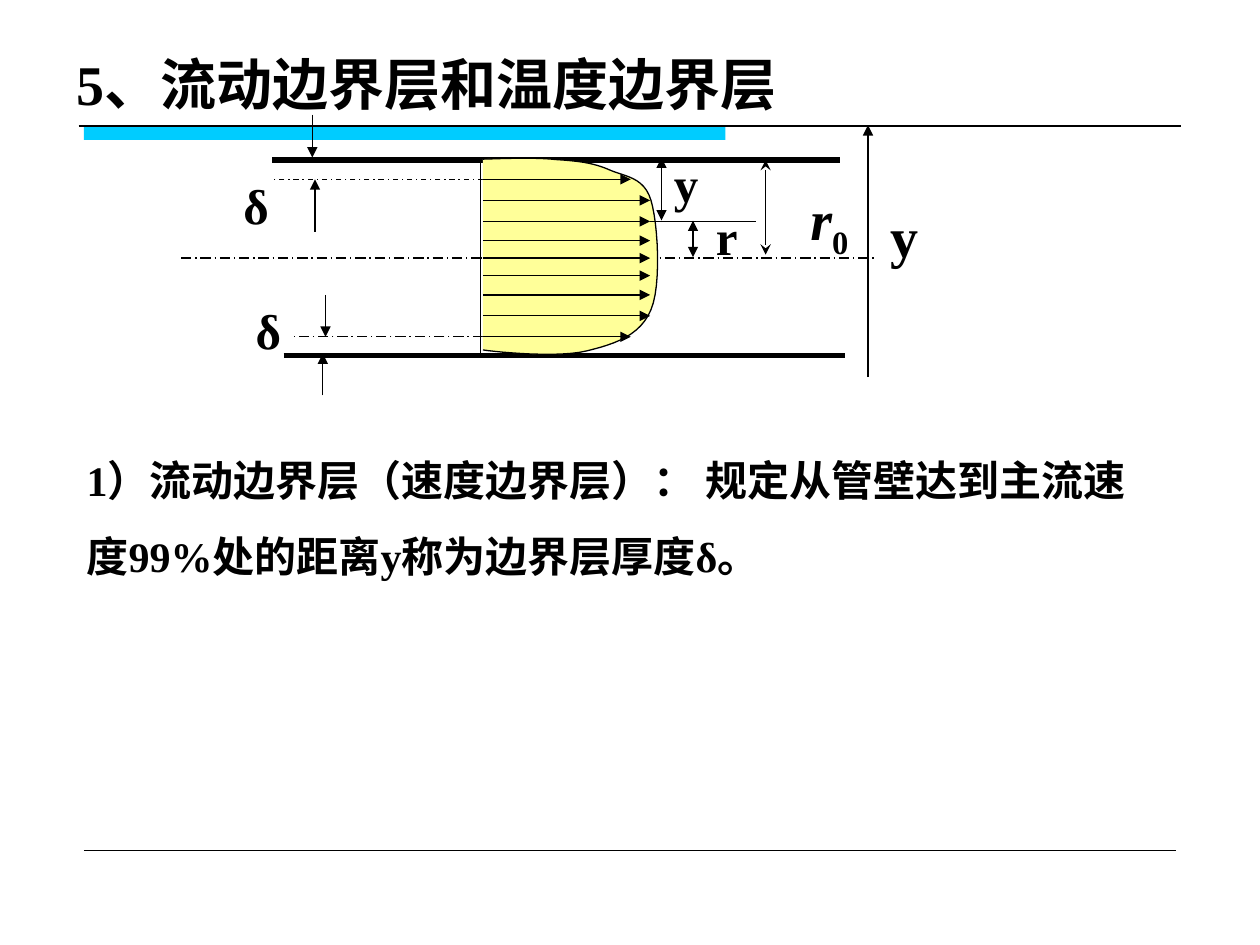
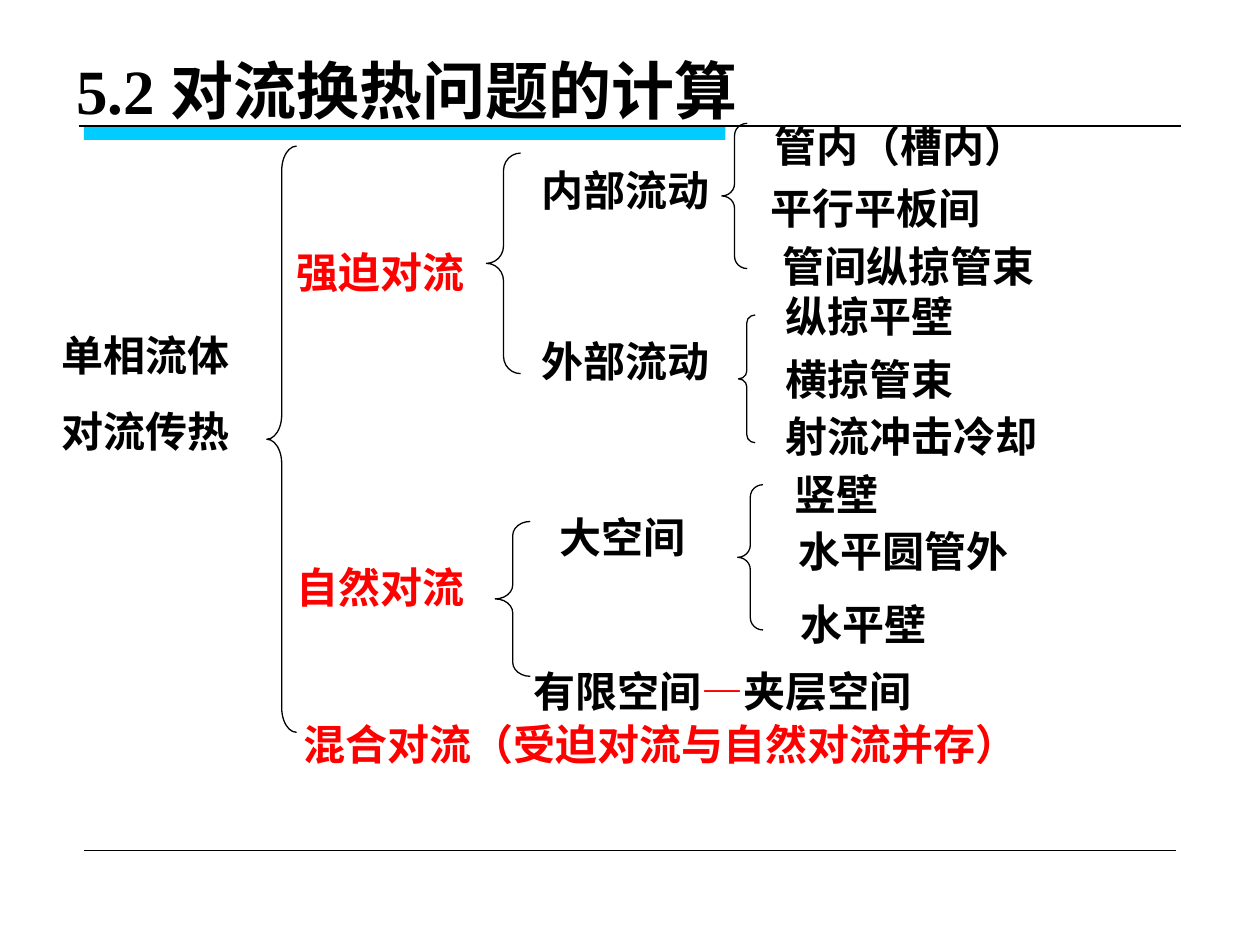
from dataclasses import dataclass
from typing import Optional

from lxml.etree import SubElement
from pptx import Presentation
from pptx.dml.color import RGBColor
from pptx.enum.dml import MSO_LINE
from pptx.enum.shapes import MSO_CONNECTOR, MSO_SHAPE
from pptx.enum.text import MSO_ANCHOR, MSO_AUTO_SIZE, PP_ALIGN
from pptx.oxml.ns import qn
from pptx.util import Pt

COLORS = {
    "ink": "000000",
    "red": "FF0000",
    "band": "00CCFF",
    "flow": "FFFF99",
}
LATIN = "Times New Roman"
TREE_FONT = "DejaVu Sans"
AXIS_Y = 147.5
INLET_X = 276
ROW_OFFSETS = (10, 21, 33, 45)
CURVE_STEPS = 12
PROFILE_START = (276, 91)
PROFILE_CURVES = [
    ((291, 90.5), (306, 90), (317.5, 91.2)),
    ((330, 92), (339, 93), (348, 97)),
    ((357, 101), (368, 101), (372, 114.5)),
    ((376, 127.5), (378, 163), (372, 177)),
    ((366, 191.5), (352, 196.5), (335.5, 200.5)),
    ((320, 204.5), (286, 201.5), (276, 200)),
]


@dataclass
class Line:
    x1: float
    y1: float
    x2: float
    y2: float
    width: float = 0.75
    dash: Optional[MSO_LINE] = None
    head: str = ""
    tail: str = ""


@dataclass
class Label:
    text: str
    left: float
    top: float
    width: float
    height: float = 36
    size: float = 24
    font: str = TREE_FONT
    color: str = "ink"
    line_spacing: Optional[float] = None
    space_before: float = 15


@dataclass
class Brace:
    left: float
    top: float
    width: float
    height: float
    radius: float


WALLS_AND_AXES = [
    Line(155.5, 91.5, 480, 91.5, width=3),
    Line(162, 203, 483, 203, width=3),
    Line(274.5, 90, 274.5, 204.5),
    Line(103.5, AXIS_Y, 500, AXIS_Y, dash=MSO_LINE.LONG_DASH_DOT),
    Line(INLET_X, 192.5, 168, 192.5, dash=MSO_LINE.LONG_DASH_DOT),
    Line(INLET_X, 102.5, 155.5, 102.5, dash=MSO_LINE.DASH_DOT),
]
DIMENSIONS = [
    Line(378, 126, 378, 90, head="triangle", tail="triangle"),
    Line(437.5, 91.5, 437.5, 145.5, head="stealth", tail="stealth"),
    Line(371.5, 126.5, 432, 126.5),
    Line(396, 147, 396, 126, head="triangle", tail="triangle"),
    Line(180, 132.5, 180, 102.5, tail="triangle"),
    Line(186, 168.5, 186, 192.5, tail="triangle"),
    Line(184.5, 226, 184.5, 202, tail="triangle"),
    Line(496, 215.5, 496, 71.5, tail="triangle"),
    Line(178.5, 65.5, 178.5, 90, tail="triangle"),
]
FLOW_LABELS = [
    Label("1）流动边界层（速度边界层）： 规定从管壁达到主流速度99%处的距离y称为边界层厚度δ。",
          42.5, 242, 623.5, 137, font=LATIN, line_spacing=1.5),
    Label("y", 378, 84, 42, 41, 28, LATIN),
    Label("r", 402, 114.5, 24, 41, 28, LATIN),
    Label("y", 502, 111.5, 36, 46, 32, LATIN),
    Label("δ", 132, 96.5, 36, 41, 28, LATIN),
    Label("δ", 139, 168, 36, 41, 28, LATIN),
]
RADIUS_LABEL = Label("r", 456, 102, 68, 51, 32, LATIN)

TREE_LABELS = [
    Label("单相流体\n对流传热", 28, 184.5, 130, 80),
    Label("强迫对流", 162.5, 137.5, 130, color="red"),
    Label("自然对流", 162.5, 317.5, 130, color="red"),
    Label("混合对流（受迫对流与自然对流并存）", 166.5, 407, 425, color="red"),
    Label("内部流动", 302.5, 90.5, 115),
    Label("外部流动", 302.5, 188, 115),
    Label("大空间", 312.5, 289, 98.5),
    Label("管内（槽内）", 435.5, 65.5, 160.5),
    Label("平行平板间", 433.5, 101, 160.5),
    Label("管间纵掠管束", 440, 134, 192),
    Label("纵掠平壁", 442, 162.5, 160.5),
    Label("横掠管束", 442, 198.5, 160.5),
    Label("射流冲击冷却", 442, 231, 166),
    Label("竖壁", 447, 264, 106),
    Label("水平圆管外", 449, 297, 154),
    Label("水平壁", 450.5, 338.5, 160.5),
]
LIMITED_SPACE = Label("有限空间", 298, 377, 296)
BRACES = [
    Brace(152.5, 83.5, 17, 335, 14),
    Brace(278, 87.5, 19.5, 126, 10),
    Brace(412.5, 70.5, 14.5, 83, 7),
    Brace(421.5, 277, 14.5, 83, 7),
    Brace(283, 298, 20, 88.5, 8),
    Brace(422, 180, 9.5, 73, 4.5),
]


def rgb(name: str) -> RGBColor:
    return RGBColor.from_string(COLORS[name])


def style_run(run, size: float, font: str, color: str) -> None:
    run.font.size = Pt(size)
    run.font.name = font
    run.font.bold = True
    run.font.color.rgb = rgb(color)


def draw_line(slide, line: Line) -> None:
    connector = slide.shapes.add_connector(
        MSO_CONNECTOR.STRAIGHT, Pt(line.x1), Pt(line.y1), Pt(line.x2), Pt(line.y2))
    connector.line.color.rgb = rgb("ink")
    connector.line.width = Pt(line.width)
    if line.dash is not None:
        connector.line.dash_style = line.dash
    properties = connector._element.spPr
    outline = properties.find(qn("a:ln"))
    for tag, arrow in (("a:headEnd", line.head), ("a:tailEnd", line.tail)):
        if arrow:
            SubElement(outline, qn(tag), type=arrow)
    SubElement(properties, qn("a:effectLst"))


def draw_label(slide, label: Label):
    box = slide.shapes.add_textbox(
        Pt(label.left), Pt(label.top), Pt(label.width), Pt(label.height))
    frame = box.text_frame
    frame.word_wrap = True
    frame.text = label.text
    for index, paragraph in enumerate(frame.paragraphs):
        if index:
            paragraph.space_before = Pt(label.space_before)
        if label.line_spacing:
            paragraph.line_spacing = label.line_spacing
        for run in paragraph.runs:
            style_run(run, label.size, label.font, label.color)
    return frame.paragraphs[0]


def extend_label(paragraph, label: Label, text: str, color: str = "ink"):
    run = paragraph.add_run()
    run.text = text
    style_run(run, label.size, label.font, color)
    return run


def draw_brace(slide, brace: Brace) -> None:
    shape = slide.shapes.add_shape(
        MSO_SHAPE.LEFT_BRACE, Pt(brace.left), Pt(brace.top),
        Pt(brace.width), Pt(brace.height))
    shape.adjustments[0] = brace.radius / brace.width
    shape.shadow.inherit = False
    shape.fill.background()
    shape.line.color.rgb = rgb("ink")
    shape.line.width = Pt(0.75)


def bezier_point(points, t: float) -> tuple[int, int]:
    weights = ((1 - t) ** 3, 3 * t * (1 - t) ** 2, 3 * t * t * (1 - t), t ** 3)
    x, y = (sum(w * p[axis] for w, p in zip(weights, points)) for axis in (0, 1))
    return Pt(x), Pt(y)


def draw_velocity_profile(slide) -> None:
    builder = slide.shapes.build_freeform(*map(Pt, PROFILE_START))
    start = PROFILE_START
    for curve in PROFILE_CURVES:
        points = (start, *curve)
        builder.add_line_segments(
            [bezier_point(points, step / CURVE_STEPS)
             for step in range(1, CURVE_STEPS + 1)], close=False)
        start = curve[-1]
    profile = builder.convert_to_shape()
    profile.shadow.inherit = False
    profile.fill.solid()
    profile.fill.fore_color.rgb = rgb("flow")
    profile.line.color.rgb = rgb("ink")
    profile.line.width = Pt(0.75)


def draw_velocity_arrows(slide) -> None:
    edge = ROW_OFFSETS[-1]
    for offset in (0, *ROW_OFFSETS, *(-row for row in ROW_OFFSETS)):
        tip = 360.5 if abs(offset) == edge else 371.5
        y = AXIS_Y + offset
        draw_line(slide, Line(INLET_X, y, tip, y, tail="triangle"))


def add_titled_slide(deck, text: str, size: float, top: float, width: float, height: float):
    slide = deck.slides.add_slide(deck.slide_layouts[5])
    title = slide.shapes.title
    title.left, title.top, title.width, title.height = map(Pt, (36.5, top, width, height))
    frame = title.text_frame
    frame.text = text
    frame.auto_size = MSO_AUTO_SIZE.NONE
    frame.vertical_anchor = MSO_ANCHOR.BOTTOM
    heading = frame.paragraphs[0]
    heading.alignment = PP_ALIGN.LEFT
    style_run(heading.runs[0], size, LATIN, "ink")

    band = slide.shapes.add_shape(MSO_SHAPE.RECTANGLE, Pt(48), Pt(71.5), Pt(366.5), Pt(8.5))
    band.shadow.inherit = False
    band.fill.solid()
    band.fill.fore_color.rgb = rgb("band")
    band.line.fill.background()
    draw_line(slide, Line(45, 72, 675, 72))
    draw_line(slide, Line(48, 486, 672, 486, width=0.25))
    return slide


def build_boundary_layers(deck) -> None:
    slide = add_titled_slide(deck, "5、流动边界层和温度边界层", 32, 26, 457, 44.5)
    for line in WALLS_AND_AXES:
        draw_line(slide, line)
    draw_velocity_profile(slide)
    draw_velocity_arrows(slide)
    for line in DIMENSIONS:
        draw_line(slide, line)
    for label in FLOW_LABELS:
        draw_label(slide, label)
    pipe_radius = draw_label(slide, RADIUS_LABEL)
    pipe_radius.runs[0].font.italic = True
    subscript = extend_label(pipe_radius, RADIUS_LABEL, "0")
    subscript._r.get_or_add_rPr().set("baseline", "-25000")


def build_convection_tree(deck) -> None:
    slide = add_titled_slide(deck, "5.2 对流换热问题的计算", 36, -19.5, 630, 96)
    for brace in BRACES:
        draw_brace(slide, brace)
    for label in TREE_LABELS:
        draw_label(slide, label)
    limited = draw_label(slide, LIMITED_SPACE)
    extend_label(limited, LIMITED_SPACE, "—", "red")
    extend_label(limited, LIMITED_SPACE, "夹层空间")


def main() -> None:
    deck = Presentation()
    deck.slide_width, deck.slide_height = Pt(720), Pt(540)
    build_boundary_layers(deck)
    build_convection_tree(deck)
    deck.save("out.pptx")


if __name__ == "__main__":
    main()
